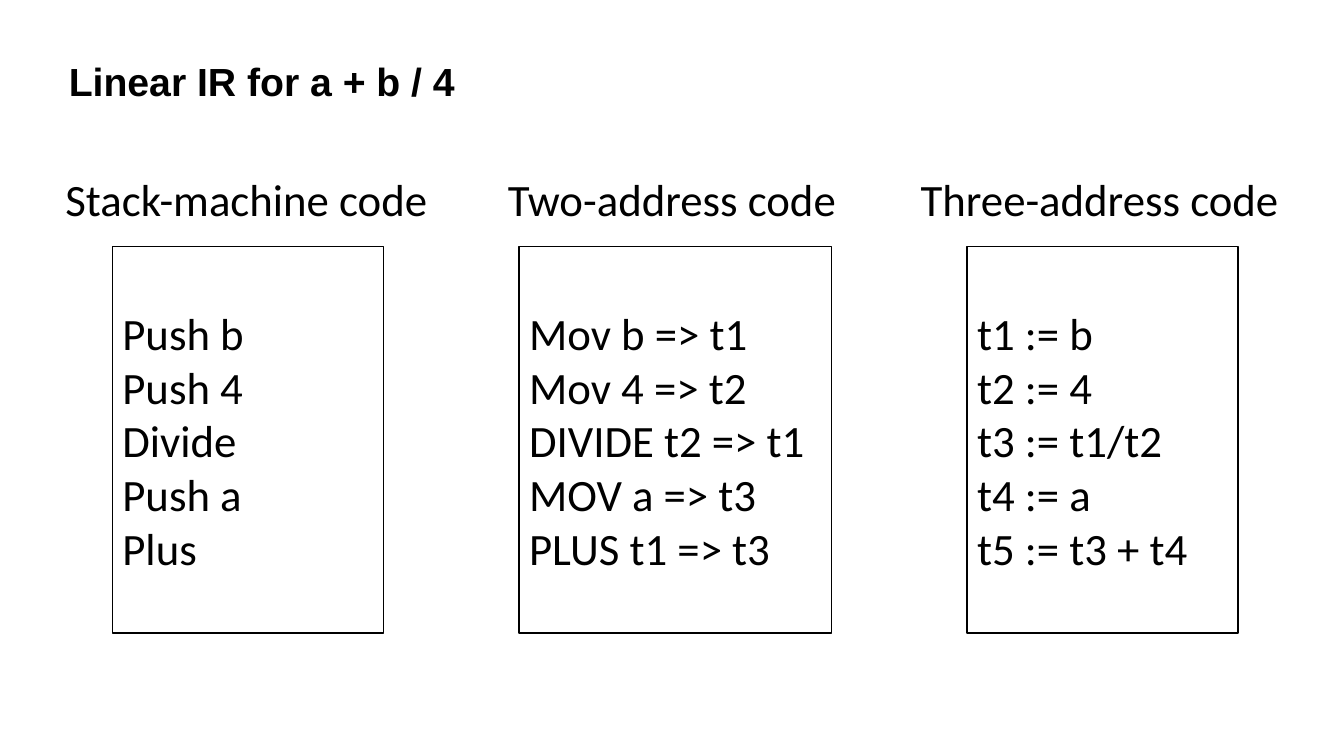
from pptx import Presentation
from pptx.dml.color import RGBColor
from pptx.enum.shapes import MSO_SHAPE
from pptx.enum.text import MSO_ANCHOR, PP_ALIGN
from pptx.util import Cm, Pt

RECT = MSO_SHAPE.RECTANGLE
MIDDLE = MSO_ANCHOR.MIDDLE
LEFT = PP_ALIGN.LEFT
BLACK, WHITE = "000000", "FFFFFF"
TITLE_ONLY = 5

# Heading, heading width, box width, code lines
CODES = [
    ("Stack-machine code", 9.7, 6.83,
     ["Push b", "Push 4", "Divide", "Push a", "Plus"]),
    ("Two-address code", 8.94, 7.87,
     ["Mov b => t1", "Mov 4 => t2", "DIVIDE t2 => t1", "MOV a => t3",
      "PLUS t1 => t3"]),
    ("Three-address code", 9.68, 6.83,
     ["t1 := b", "t2 := 4", "t3 := t1/t2", "t4 := a", "t5 := t3 + t4"]),
]
FIRST, PITCH = 6.25, 10.77  # centre of the first column, step to the next


def color(code):
    return RGBColor.from_string(code)


def write(shape, lines, font="Calibri", size=32, bold=False, wrap=True,
          anchor=MIDDLE):
    frame = shape.text_frame
    frame.word_wrap = wrap
    frame.vertical_anchor = anchor
    frame.text = "\n".join(lines)
    for para in frame.paragraphs:
        para.alignment = LEFT
        style = para.runs[0].font
        style.name, style.size, style.bold = font, Pt(size), bold
        style.color.rgb = color(BLACK)


def add_title(slide, text, left, top, width, height):
    title = slide.shapes.title
    title.left, title.top = Cm(left), Cm(top)
    title.width, title.height = Cm(width), Cm(height)
    write(title, [text], font="Arial", size=28, bold=True, wrap=False)


def add_column(slide, code, mid, top):
    """Centre a heading and its code box on mid, starting at top."""
    head, head_width, box_width, lines = code
    label = slide.shapes.add_textbox(
        Cm(mid - head_width / 2), Cm(top), Cm(head_width), Cm(1.63))
    write(label, [head])

    box = slide.shapes.add_shape(
        RECT, Cm(mid - box_width / 2), Cm(top + 2.03), Cm(box_width), Cm(9.73))
    box.shadow.inherit = False
    box.fill.solid()
    box.fill.fore_color.rgb = color(WHITE)
    box.line.color.rgb = color(BLACK)
    box.line.width = Pt(1)
    write(box, lines)


def main():
    deck = Presentation()
    deck.slide_width, deck.slide_height = Cm(33.87), Cm(19.05)
    slide = deck.slides.add_slide(deck.slide_layouts[TITLE_ONLY])
    add_title(slide, "Linear IR for a + b / 4", 1.48, 1.3, 10.38, 1.45)
    for i, code in enumerate(CODES):
        add_column(slide, code, FIRST + i * PITCH, 4.19)
    deck.save("out.pptx")


if __name__ == "__main__":
    main()
